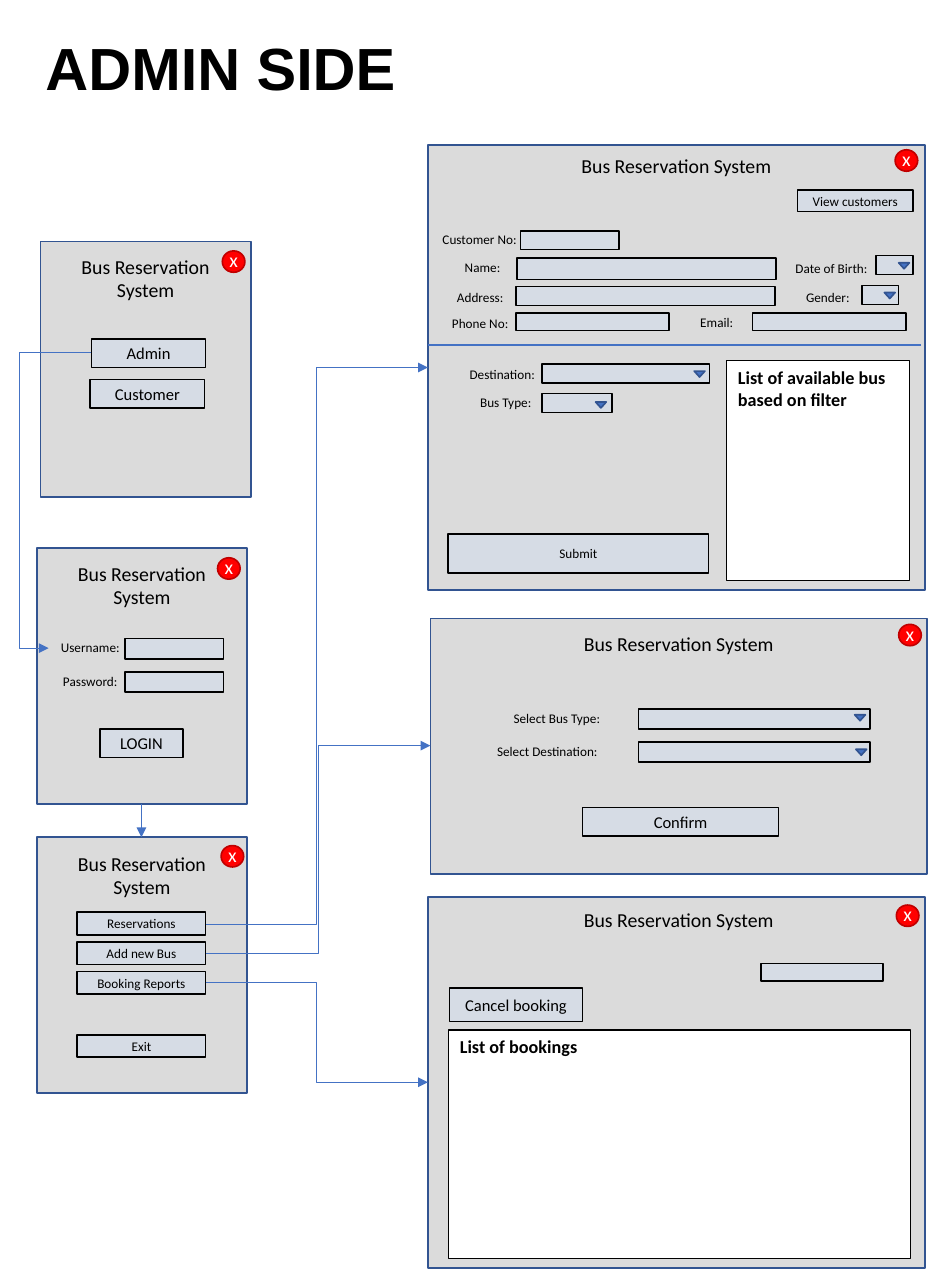
"""Build the admin-side wireframe slide of a bus reservation system."""
from lxml import etree
from pptx import Presentation
from pptx.dml.color import RGBColor
from pptx.enum.shapes import MSO_CONNECTOR, MSO_SHAPE
from pptx.enum.text import MSO_ANCHOR, PP_ALIGN
from pptx.oxml.ns import qn
from pptx.util import Inches, Pt

RECT, OVAL, TRIANGLE = MSO_SHAPE.RECTANGLE, MSO_SHAPE.OVAL, MSO_SHAPE.ISOSCELES_TRIANGLE
STRAIGHT, ELBOW = MSO_CONNECTOR.STRAIGHT, MSO_CONNECTOR.ELBOW
LEFT, CENTER = PP_ALIGN.LEFT, PP_ALIGN.CENTER
TOP, MIDDLE = MSO_ANCHOR.TOP, MSO_ANCHOR.MIDDLE

COLORS = {
    "window": "DBDBDB", "edge": "325491", "field": "D6DCE5", "accent": "4472C4",
    "black": "000000", "white": "FFFFFF", "close": "FF0000", "close_edge": "C00000",
}

prs = Presentation()
prs.slide_width, prs.slide_height = Inches(8), Inches(10.83)
slide = prs.slides.add_slide(prs.slide_layouts[6])


def draw(kind, box, fill, line, width=1):
    sp = slide.shapes.add_shape(kind, *[Inches(v) for v in box])
    sp.shadow.inherit = False
    sp.fill.solid()
    sp.fill.fore_color.rgb = RGBColor.from_string(COLORS[fill])
    sp.line.color.rgb = RGBColor.from_string(COLORS[line])
    sp.line.width = Pt(width)
    return sp


def write(sp, text, size, color="black", align=CENTER, anchor=MIDDLE, bold=False,
          font="Calibri", inset=0.1, wrap=True):
    tf = sp.text_frame
    tf.word_wrap = wrap
    tf.vertical_anchor = anchor
    tf.margin_left = tf.margin_right = Inches(inset)
    p = tf.paragraphs[0]
    p.alignment = align
    r = p.add_run()
    r.text = text
    r.font.size, r.font.bold, r.font.name = Pt(size), bold, font
    r.font.color.rgb = RGBColor.from_string(COLORS[color])


heading = slide.shapes.add_textbox(Inches(0.28), Inches(0.21), Inches(3.15), Inches(0.71))
write(heading, "ADMIN SIDE", 36, anchor=TOP, bold=True, font="Arial", wrap=False)

# window box, title left and top, close button left and top
windows = [
    ((3.6, 1.22, 4.18, 3.74), (3.6, 1.24), (7.53, 1.26)),
    ((3.62, 5.2, 4.18, 2.15), (3.62, 5.26), (7.56, 5.25)),
    ((3.6, 7.54, 4.18, 3.12), (3.62, 7.58), (7.54, 7.61)),
    ((0.34, 2.03, 1.77, 2.15), (0.34, 2.09), (1.87, 2.11)),
    ((0.31, 4.61, 1.77, 2.15), (0.31, 4.67), (1.83, 4.69)),
    ((0.31, 7.04, 1.77, 2.15), (0.31, 7.11), (1.86, 7.11)),
]
for box, title, close in windows:
    draw(RECT, box, "window", "edge")
    tb = slide.shapes.add_textbox(*[Inches(v) for v in (*title, box[2], 0.5)])
    write(tb, "Bus Reservation System", 12, anchor=TOP)
    sp = draw(OVAL, (*close, 0.19, 0.18), "close", "close_edge")
    sp.text_frame.margin_top, sp.text_frame.margin_bottom = 0, Inches(0.03)
    write(sp, "x", 12, "white", inset=0)

fields = [
    (4.38, 1.94, 0.83, 0.16), (4.35, 2.17, 2.18, 0.18), (4.34, 2.41, 2.18, 0.16),
    (4.34, 2.63, 1.29, 0.15), (6.33, 2.63, 1.29, 0.15),
    (7.37, 2.15, 0.31, 0.16), (7.25, 2.4, 0.31, 0.16),
    (4.56, 3.06, 1.41, 0.16), (4.56, 3.31, 0.59, 0.16),
    (5.37, 5.96, 1.95, 0.17), (5.37, 6.24, 1.95, 0.17), (6.4, 8.1, 1.03, 0.15),
    (1.05, 5.37, 0.83, 0.17), (1.05, 5.65, 0.83, 0.17),
]
for box in fields:
    draw(RECT, box, "field", "black")

dropdowns = [(7.56, 2.21), (7.44, 2.46), (5.84, 3.12), (5.01, 3.38), (7.19, 6.01), (7.2, 6.3)]
for x, y in dropdowns:
    sp = draw(TRIANGLE, (x, y, 0.09, 0.05), "accent", "edge")
    sp.rotation = 180

labels = [
    ("Customer No:", 3.62, 1.9, 0.83), ("Name:", 3.71, 2.13, 0.7),
    ("Address:", 3.69, 2.38, 0.7), ("Phone No:", 3.69, 2.6, 0.7),
    ("Date of Birth:", 6.49, 2.14, 1.01), ("Gender:", 6.65, 2.38, 0.63),
    ("Email:", 5.68, 2.59, 0.7), ("Destination:", 3.72, 3.03, 1.01),
    ("Bus Type:", 3.77, 3.27, 0.97), ("Select Bus Type:", 3.86, 5.92, 1.65),
    ("Select Destination:", 3.78, 6.2, 1.65),
    ("Username:", 0.41, 5.33, 0.7), ("Password:", 0.41, 5.61, 0.7),
]
for text, x, y, w in labels:
    tb = slide.shapes.add_textbox(Inches(x), Inches(y), Inches(w), Inches(0.24))
    write(tb, text, 8, anchor=TOP, inset=0)

buttons = [
    ("View customers", 8, (6.71, 1.6, 0.97, 0.18)), ("Submit", 8, (3.77, 4.49, 2.19, 0.33)),
    ("Confirm", 10, (4.9, 6.79, 1.65, 0.24)), ("Cancel booking", 10, (3.78, 8.31, 1.12, 0.28)),
    ("Admin", 10, (0.77, 2.85, 0.96, 0.24)), ("Customer", 10, (0.76, 3.19, 0.96, 0.24)),
    ("LOGIN", 10, (0.84, 6.13, 0.7, 0.24)),
]
menu = [("Reservations", 7.67), ("Add new Bus", 7.92), ("Booking Reports", 8.17), ("Exit", 8.7)]
buttons += [(text, 8, (0.65, y, 1.08, 0.19)) for text, y in menu]
for text, size, box in buttons:
    write(draw(RECT, box, "field", "black"), text, size)

lists = [
    ("List of available bus based on filter", (6.11, 3.03, 1.54, 1.85)),
    ("List of bookings", (3.77, 8.66, 3.89, 1.92)),
]
for text, box in lists:
    sp = draw(RECT, box, "white", "black", 0.75)
    write(sp, text, 11, align=LEFT, anchor=TOP, bold=True)
    sp.text_frame.paragraphs[0].space_after = Pt(8)

# kind, from and to, line width, arrowhead, bend position
connectors = [
    (STRAIGHT, (3.6, 2.9, 7.75, 2.9), 1.5, False, None),
    (STRAIGHT, (1.19, 6.76, 1.19, 7.04), 0.5, True, None),
    (ELBOW, (1.73, 7.77, 3.6, 3.09), 0.5, True, 50000),
    (ELBOW, (1.73, 8.02, 3.62, 6.27), 0.5, True, 50000),
    (ELBOW, (1.73, 8.26, 3.6, 9.1), 0.5, True, 50000),
    (ELBOW, (0.77, 2.96, 0.41, 5.45), 0.5, True, 168300),
]
for kind, ends, width, arrow, bend in connectors:
    cn = slide.shapes.add_connector(kind, *[Inches(v) for v in ends])
    cn.line.color.rgb = RGBColor.from_string(COLORS["accent"])
    cn.line.width = Pt(width)
    sp_pr = cn.line._ln.getparent()
    if arrow:
        etree.SubElement(cn.line._ln, qn("a:tailEnd"), type="triangle")
    if bend:
        guides = sp_pr.find(qn("a:prstGeom")).find(qn("a:avLst"))
        etree.SubElement(guides, qn("a:gd"), name="adj1", fmla=f"val {bend}")
    etree.SubElement(sp_pr, qn("a:effectLst"))

prs.save("out.pptx")
